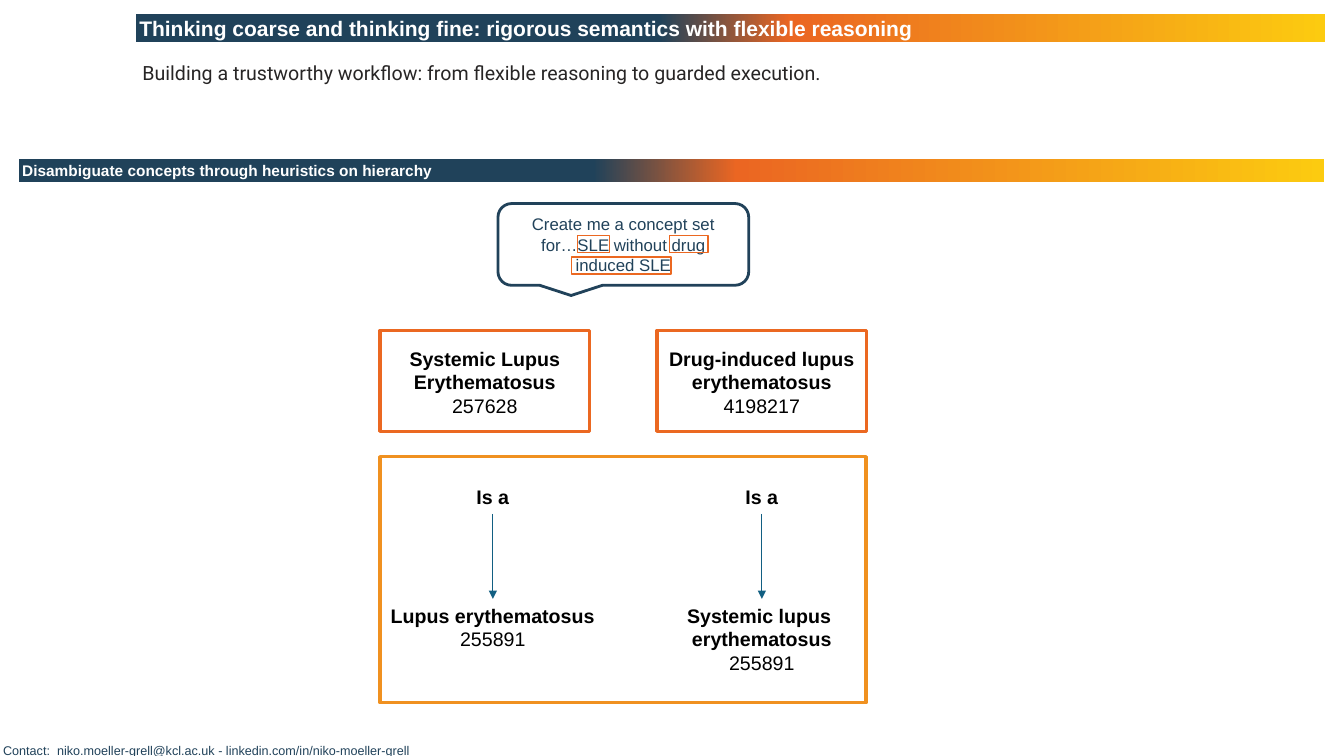
from dataclasses import dataclass

from lxml.etree import SubElement
from pptx import Presentation
from pptx.dml.color import RGBColor
from pptx.enum.shapes import MSO_CONNECTOR, MSO_SHAPE
from pptx.enum.text import MSO_ANCHOR, MSO_AUTO_SIZE, PP_ALIGN
from pptx.oxml.ns import qn
from pptx.util import Cm, Pt


@dataclass(frozen=True)
class Theme:
    """Colours, fonts and type sizes of the slide."""
    navy: str = "21425A"
    orange: str = "EB6821"
    amber: str = "F09120"
    teal: str = "125F82"
    ink: str = "272525"
    black: str = "000000"
    white: str = "FFFFFF"
    band: tuple = ((0, "20425A"), (44, "20425A"), (55, "EB6622"), (100, "FCCB10"))
    sans: str = "Arial"
    lead: str = "Roboto"
    title: int = 15
    body: int = 14
    quote: int = 12
    head: int = 11
    foot: int = 9


class Board:
    """Draws styled elements on one slide."""

    def __init__(self, slide, theme):
        """Keep the slide and its theme."""
        self.slide = slide
        self.theme = theme

    def label(self, shape, lines, size, color, bold=0, align=PP_ALIGN.LEFT,
              font=None, tight=False, wrap=True, anchor=MSO_ANCHOR.TOP):
        """Set lines of text, the first few of them bold."""
        frame = shape.text_frame
        frame.text = "\n".join(lines)
        frame.word_wrap = wrap
        frame.auto_size = MSO_AUTO_SIZE.NONE
        frame.vertical_anchor = anchor
        if tight:
            frame.margin_left = frame.margin_right = Cm(0.08)
            frame.margin_top = frame.margin_bottom = Cm(0.03)
        for row, para in enumerate(frame.paragraphs):
            para.alignment = align
            for run in para.runs:
                run.font.name = font or self.theme.sans
                run.font.size = Pt(size)
                run.font.bold = row < bold
                run.font.color.rgb = RGBColor.from_string(color)

    def text(self, box, lines, size, color, **style):
        """Add a text box."""
        shape = self.slide.shapes.add_textbox(*map(Cm, box))
        self.label(shape, lines, size, color, **style)
        return shape

    def shape(self, box, line=None, width=1, fill=None, kind=MSO_SHAPE.RECTANGLE):
        """Add a preset shape with an optional outline and fill."""
        shape = self.slide.shapes.add_shape(kind, *map(Cm, box))
        shape.shadow.inherit = False
        if fill:
            shape.fill.solid()
            shape.fill.fore_color.rgb = RGBColor.from_string(fill)
        else:
            shape.fill.background()
        if line:
            shape.line.color.rgb = RGBColor.from_string(line)
            shape.line.width = Pt(width)
        else:
            shape.line.fill.background()
        return shape

    def band(self, shape, words, size):
        """Turn a shape into a gradient heading bar."""
        shape.fill.gradient()
        shape.fill.gradient_angle = 0
        stops = next(shape._element.spPr.iter(qn("a:gsLst")))
        stops.clear()
        for place, color in self.theme.band:
            stop = SubElement(stops, qn("a:gs"), pos=str(place * 1000))
            SubElement(stop, qn("a:srgbClr"), val=color)
        self.label(shape, [words], size, self.theme.white, bold=1,
                   tight=True, anchor=MSO_ANCHOR.MIDDLE)

    def title(self, box, words):
        """Place the title placeholder as a heading bar."""
        shape = self.slide.shapes.title
        shape.left, shape.top, shape.width, shape.height = map(Cm, box)
        self.band(shape, words, self.theme.title)

    def arrow(self, x, top, end):
        """Add a downward arrow."""
        line = self.slide.shapes.add_connector(
            MSO_CONNECTOR.STRAIGHT, Cm(x), Cm(top), Cm(x), Cm(end))
        line.line.color.rgb = RGBColor.from_string(self.theme.teal)
        line.line.width = Pt(0.75)
        stroke = line._element.spPr.find(qn("a:ln"))
        SubElement(stroke, qn("a:tailEnd"), type="triangle")
        SubElement(line._element.spPr, qn("a:effectLst"))

    def card(self, left, lines):
        """Add an outlined concept with its identifier."""
        self.shape((left, 8.33, 5.28, 2.54), self.theme.orange, 2.5)
        self.text((left, 8.61, 5.28, 2.06), lines, self.theme.body,
                  self.theme.black, bold=1, align=PP_ALIGN.CENTER)

    def link(self, mid, width, lines):
        """Add an arrow from its relation to the parent concept."""
        top, end = 12.95, 15.09
        style = dict(align=PP_ALIGN.CENTER, wrap=False)
        self.text((mid - width / 2, end, width, 2.06), lines, self.theme.body,
                  self.theme.black, bold=len(lines) - 1, **style)
        self.text((mid - 0.67, top - 0.86, 1.34, 0.86), ["Is a"],
                  self.theme.body, self.theme.black, bold=1, **style)
        self.arrow(mid, top, end)


def main():
    """Build and save the slide."""
    theme = Theme()
    deck = Presentation()
    deck.slide_width, deck.slide_height = Cm(33.87), Cm(19.05)
    board = Board(deck.slides.add_slide(deck.slide_layouts[5]), theme)

    board.title((3.43, 0.36, 29.97, 0.71),
                "Thinking coarse and thinking fine: rigorous semantics with flexible reasoning")
    lead = board.text(
        (3.51, 1.17, 24.43, 1.4),
        ["Building a trustworthy workflow: from flexible reasoning to guarded execution."],
        theme.body, theme.ink, font=theme.lead, tight=True)
    lead.text_frame.paragraphs[0].line_spacing = 1.57
    board.band(board.shape((0.48, 4.01, 32.89, 0.58)),
               "Disambiguate concepts through heuristics on hierarchy", theme.head)
    board.text((0, 18.69, 21.67, 0.46),
               ["Contact:  niko.moeller-grell@kcl.ac.uk - linkedin.com/in/niko-moeller-grell"],
               theme.foot, theme.navy, tight=True)

    board.card(9.58, ["Systemic Lupus Erythematosus", "257628"])
    board.card(16.56, ["Drug-induced lupus erythematosus", "4198217"])

    quote = board.shape((12.55, 5.13, 6.32, 2.06), theme.navy, 2, theme.white,
                        MSO_SHAPE.ROUNDED_RECTANGULAR_CALLOUT)
    board.label(quote, ["Create me a concept set for…SLE without drug induced SLE"],
                theme.quote, theme.navy, align=PP_ALIGN.CENTER, anchor=MSO_ANCHOR.MIDDLE)
    for left, top, width in ((14.55, 5.94, 0.81), (16.87, 5.94, 0.97), (14.4, 6.48, 2.51)):
        board.shape((left, top, width, 0.43), theme.orange)

    board.shape((9.58, 11.51, 12.24, 6.2), theme.amber, 2.5)
    board.link(12.42, 5.66, ["Lupus erythematosus", "255891"])
    board.link(19.2, 4.29, ["Systemic lupus ", "erythematosus", "255891"])
    deck.save("out.pptx")


if __name__ == "__main__":
    main()
